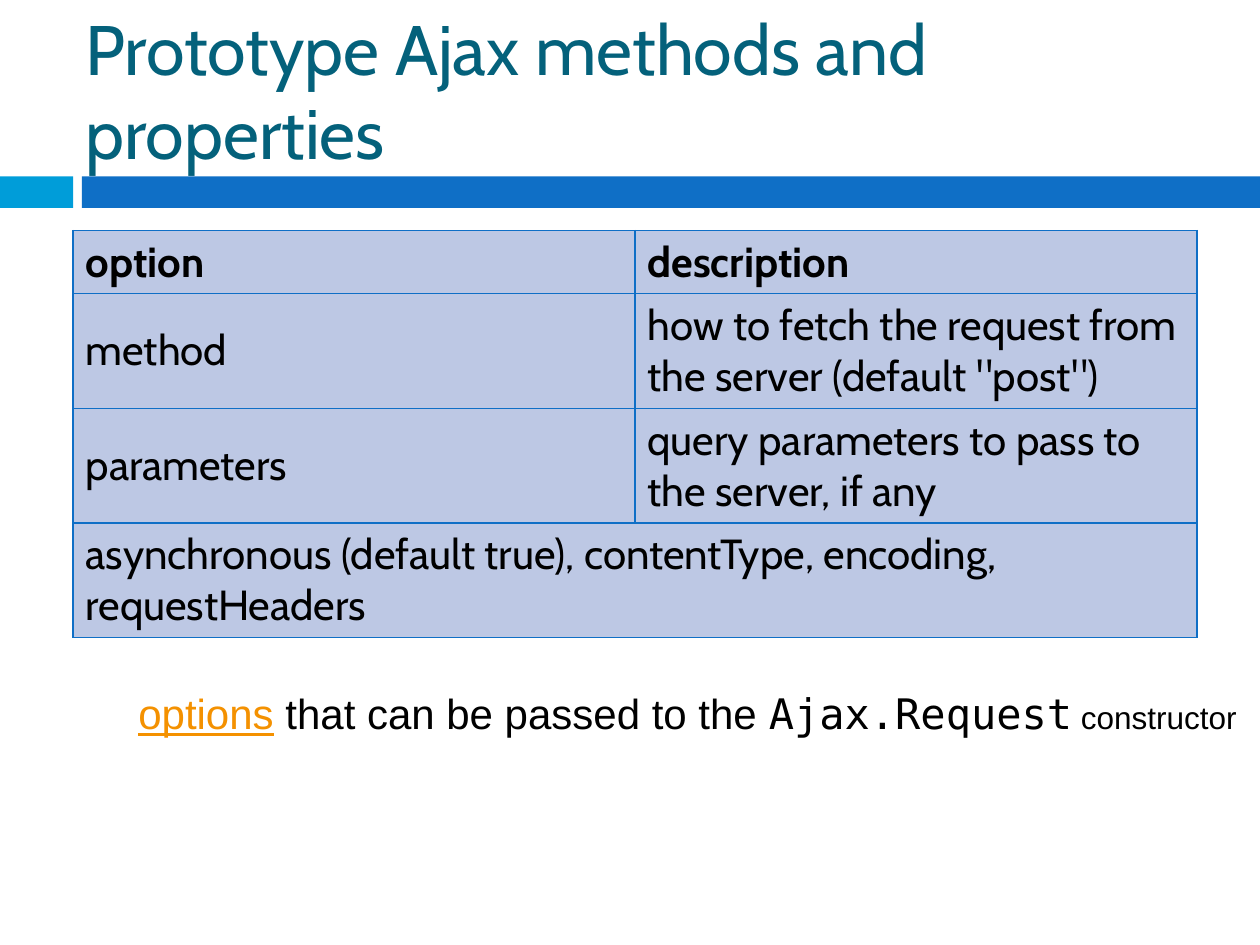
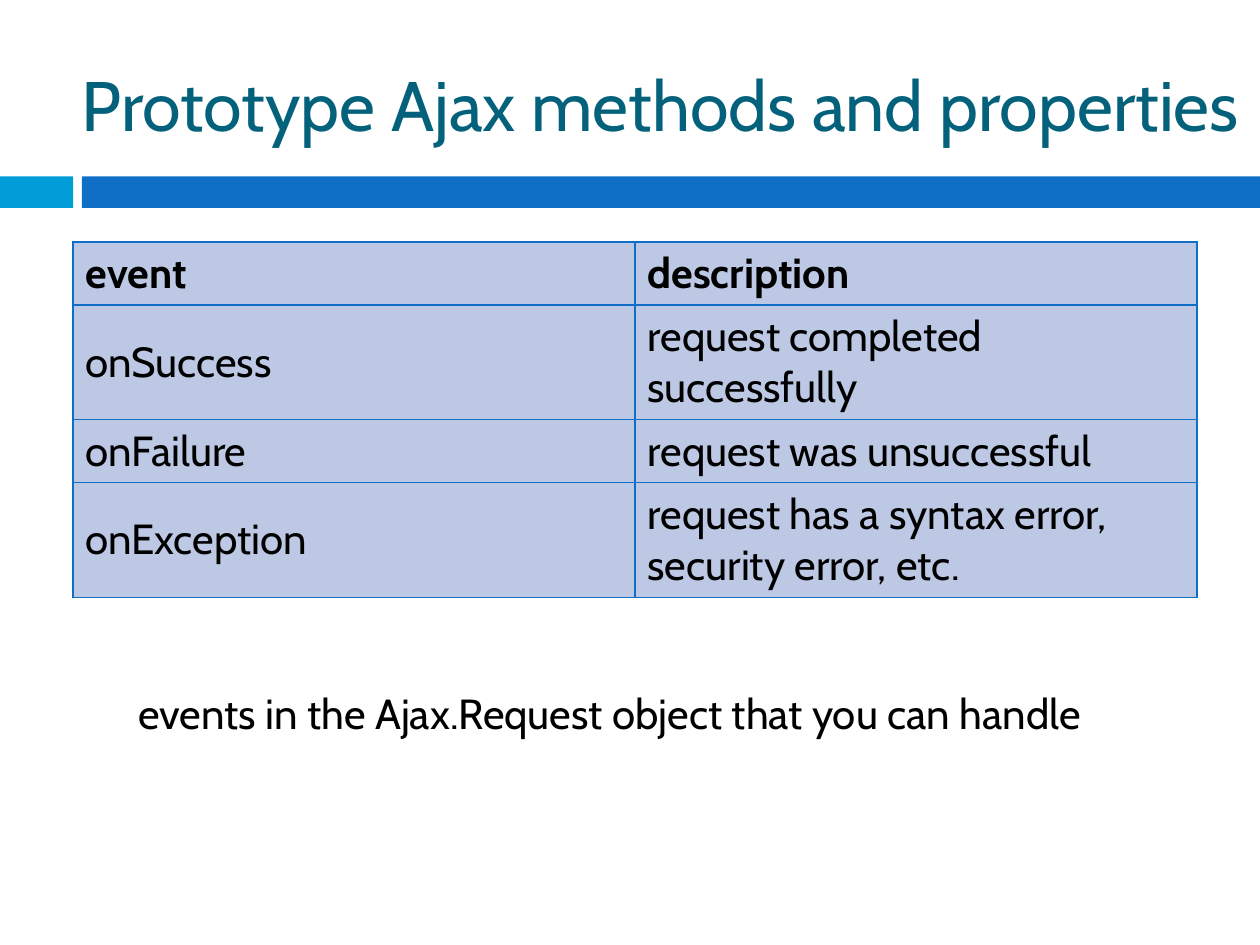
from lxml import etree
from pptx import Presentation
from pptx.dml.color import RGBColor
from pptx.enum.shapes import MSO_SHAPE
from pptx.enum.text import MSO_ANCHOR
from pptx.oxml.ns import qn
from pptx.util import Inches, Pt

RECT = MSO_SHAPE.RECTANGLE
MIDDLE = MSO_ANCHOR.MIDDLE
WIDTH, HEIGHT = Inches(10), Inches(7.5)
COL, ROW = WIDTH / 100, HEIGHT / 75
BLUE, CYAN, TEAL = "0F6FC6", "009DD9", "04617B"
PALE, ORANGE, BLACK = "BDC8E4", "F49100", "000000"
SANS, PLAIN, MONO = "Cabin", "Arial", "DejaVu Sans Mono"
TITLE = "Prototype Ajax methods and properties"
SINGLE, DOUBLE = 5, 9.1

OPTIONS = [
    ("option", "description"),
    ("method", 'how to fetch the request from the server (default "post")'),
    ("parameters", "query parameters to pass to the server, if any"),
    ("asynchronous (default true), contentType, encoding, requestHeaders",),
]
EVENTS = [
    ("event", "description"),
    ("onSuccess", "request completed successfully"),
    ("onFailure", "request was unsuccessful"),
    ("onException", "request has a syntax error, security error, etc."),
]


def color(code):
    return RGBColor.from_string(code)


def place(left, top, width, height):
    return [round(n) for n in (left * COL, top * ROW, width * COL, height * ROW)]


def style(font, size, code=BLACK, name=SANS, bold=False):
    font.size, font.name, font.bold = Pt(size), name, bold
    font.color.rgb = color(code)


def add_band(slide, left, width, code):
    band = slide.shapes.add_shape(RECT, *place(left, 14, width, 2.5))
    band.shadow.inherit = False
    band.fill.solid()
    band.fill.fore_color.rgb = color(code)
    band.line.fill.background()


def add_box(slide, spot):
    frame = slide.shapes.add_textbox(*place(*spot)).text_frame
    frame.word_wrap = True
    frame.vertical_anchor = MIDDLE
    return frame.paragraphs[0]


def add_line(slide, spot, text, size, code=BLACK):
    para = add_box(slide, spot)
    para.text = text
    style(para.font, size, code)


def add_run(para, text, size=24, code=BLACK, name=PLAIN):
    run = para.add_run()
    run.text = text
    style(run.font, size, code, name)
    return run


def add_edges(cell):
    props = cell._tc.get_or_add_tcPr()
    for spot, side in enumerate(("lnL", "lnR", "lnT", "lnB")):
        edge = etree.Element(qn(f"a:{side}"), w=str(Pt(0.79)))
        fill = etree.SubElement(edge, qn("a:solidFill"))
        etree.SubElement(fill, qn("a:srgbClr"), val=BLUE)
        props.insert(spot, edge)


def fill_cell(cell, text, bold):
    cell.fill.solid()
    cell.fill.fore_color.rgb = color(PALE)
    cell.vertical_anchor = MIDDLE
    para = cell.text_frame.paragraphs[0]
    para.text = text
    style(para.font, 24, bold=bold)
    add_edges(cell)


def add_grid(slide, top, rows, heights):
    spot = place(5.8, top, 89.2, sum(heights))
    table = slide.shapes.add_table(len(rows), 2, *spot).table
    table.horz_banding = False
    for r, (texts, height) in enumerate(zip(rows, heights)):
        table.rows[r].height = round(height * ROW)
        for c in range(2):
            text = texts[c] if c < len(texts) else ""
            fill_cell(table.cell(r, c), text, r == 0)
        if len(texts) == 1:
            table.cell(r, 0).merge(table.cell(r, 1))


def add_page(deck, spot):
    slide = deck.slides.add_slide(deck.slide_layouts[6])
    add_band(slide, 0, 5.8, CYAN)
    add_band(slide, 6.5, 93.5, BLUE)
    add_line(slide, spot, TITLE, 40, TEAL)
    return slide


def main():
    deck = Presentation()
    deck.slide_width, deck.slide_height = WIDTH, HEIGHT
    note = (10, 54.1, 100, 5)

    slide = add_page(deck, (5.8, 1.7, 93.3, 10.8))
    add_grid(slide, 18.3, OPTIONS, [SINGLE, DOUBLE, DOUBLE, DOUBLE])
    para = add_box(slide, note)
    add_run(para, "options", code=ORANGE).font.underline = True
    add_run(para, " that can be passed to the ")
    add_run(para, "Ajax.Request", name=MONO)
    add_run(para, " constructor", size=18)

    slide = add_page(deck, (5.5, 2.8, 98.3, 10.8))
    add_line(slide, note, "events in the Ajax.Request object that you can handle", 24)
    add_grid(slide, 19.2, EVENTS, [SINGLE, DOUBLE, SINGLE, DOUBLE])

    deck.save("out.pptx")


if __name__ == "__main__":
    main()
